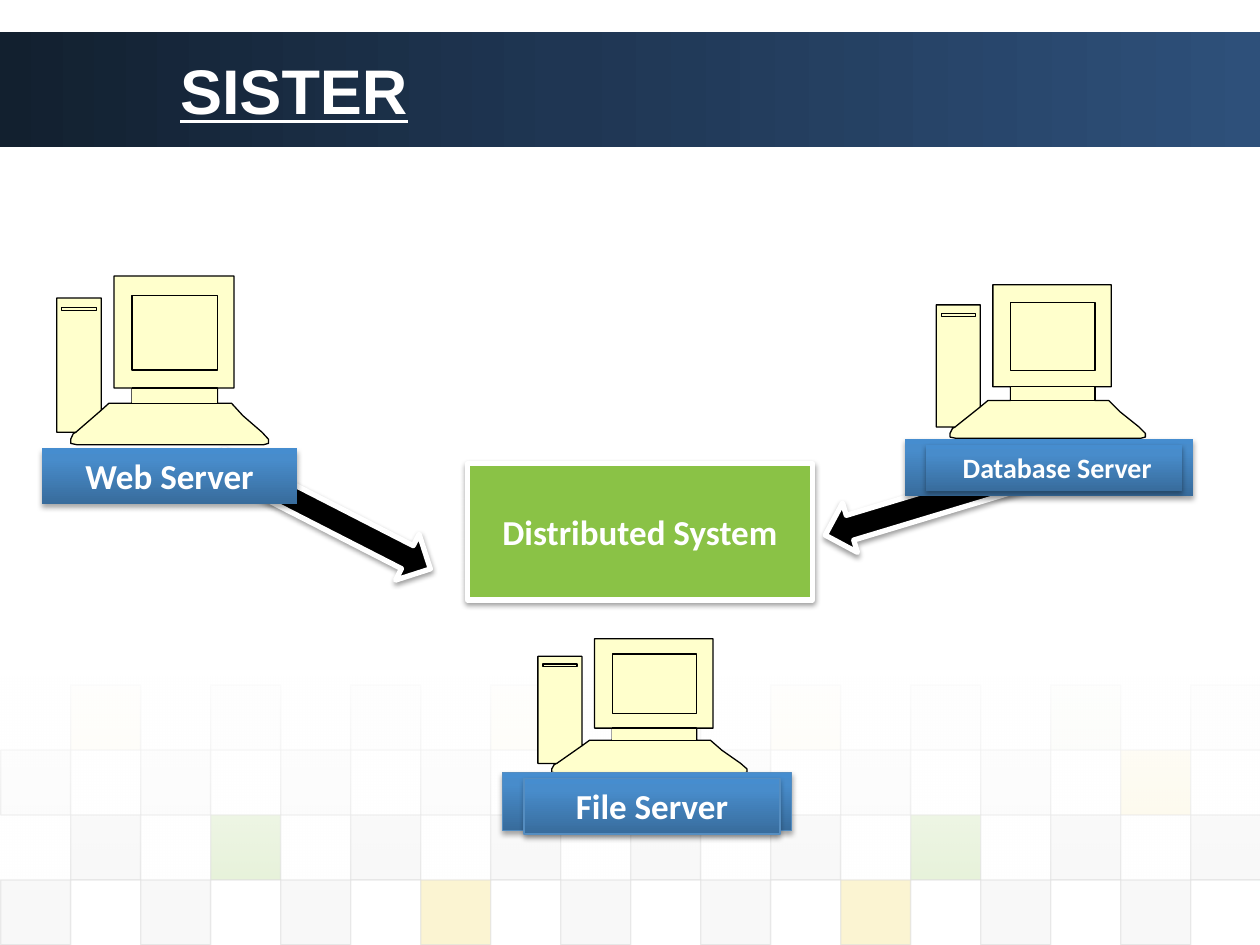
from copy import deepcopy
from dataclasses import dataclass

from lxml import etree
from pptx import Presentation
from pptx.dml.color import RGBColor
from pptx.enum.shapes import MSO_SHAPE
from pptx.enum.text import MSO_ANCHOR, MSO_AUTO_SIZE, PP_ALIGN
from pptx.oxml.ns import qn
from pptx.util import Pt

RECT, ARROW = MSO_SHAPE.RECTANGLE, MSO_SHAPE.RIGHT_ARROW
MIDDLE, FIT = MSO_ANCHOR.MIDDLE, MSO_AUTO_SIZE.SHAPE_TO_FIT_TEXT
LEFT, CENTER = PP_ALIGN.LEFT, PP_ALIGN.CENTER


@dataclass(frozen=True)
class Theme:
    white: str = "FFFFFF"
    black: str = "000000"
    green: str = "8AC246"
    yellow: str = "EFC821"
    grey: str = "DDDDDD"
    pale: str = "EAEAEA"
    computer: str = "FFFFCC"
    label_line: str = "558DC0"
    title_font: str = "Arial"
    body_font: str = "Calibri"
    title_size: int = 36
    body_size: int = 20
    small_size: int = 16


THEME = Theme()

# Gradient stops: position %, colour, opacity %
BANNER = [(0, "12202F", 100), (45, "1F3653", 100), (100, "2E507A", 100)]
LABEL = [(0, "386C9C", 100), (80, "488CCB", 100), (100, "468DCF", 100)]
FADE = [(0, THEME.white, 90), (100, THEME.white, 0)]

# Checkerboard rows: first column, opacity %, colour key of every second tile
TILE_COLORS = {"g": THEME.green, "y": THEME.yellow, "d": THEME.grey, "p": THEME.pale}
TILE_ROWS = [(1, 5, "yppydypgp"), (0, 10, "ddddgdddy"),
             (1, 20, "dgddddgdd"), (0, 20, "dddyddydd")]
TILE_LEFT, TILE_TOP, TILE_WIDTH, TILE_HEIGHT = 0.4, 391.5, 40, 37.1

# Boxes: left, top, width, height
ARROWS = [((117.4, 279.4, 136, 29.5), 27.1), ((468.7, 271.4, 136, 29.5), 163.2)]
COMPUTERS = [(535, 162.7, 119.5, 87.8), (32.4, 157.7, 121, 96.5),
             (307.4, 365, 119.5, 77)]
# Labels: backing box, text box, text, size, outline
LABELS = [
    (None, (23.8, 256.3, 146.2, 31.7), "Web Server", THEME.body_size, None),
    ((287.3, 441.4, 164.9, 33.1), (299.5, 445, 146.2, 31.7),
     "File Server", THEME.body_size, THEME.label_line),
    ((517, 250.6, 164.9, 33.1), (529.2, 254.2, 146.2, 26.6),
     " Database Server", THEME.small_size, None),
]

# Computer drawing on its own grid; each part is filled separately
GRID_WIDTH, GRID_HEIGHT = 166, 122
COMPUTER_PARTS = [
    ([(35, 97), (41, 92), (59, 92), (59, 81), (45, 81), (45, 0), (139, 0),
      (139, 81), (126, 81), (126, 92), (137, 92), (146, 101), (161, 113),
      (164, 116), (166, 118), (166, 121), (162, 122), (16, 122), (11, 121),
      (11, 118), (13, 114), (15, 113), (0, 113), (0, 16), (35, 16)], True),
    ([(35, 97), (15, 113)], False),
    ([(59, 14), (126, 14), (126, 68), (59, 68)], True),
    ([(4, 23), (31, 23), (31, 25), (4, 25)], True),
    ([(59, 81), (126, 81), (126, 92), (59, 92)], False),
]


def set_alpha(color_node, percent):
    if percent < 100:
        etree.SubElement(color_node, qn("a:alpha"), val=str(percent * 1000))


def paint(shape, fill, line=None, width=0.75, opacity=100, line_opacity=100):
    shape.shadow.inherit = False
    shape.fill.solid()
    shape.fill.fore_color.rgb = RGBColor.from_string(fill)
    properties = shape._element.spPr
    set_alpha(properties.find(qn("a:solidFill"))[0], opacity)
    if line is None:
        shape.line.fill.background()
        return
    shape.line.color.rgb = RGBColor.from_string(line)
    shape.line.width = Pt(width)
    set_alpha(properties.find(qn("a:ln")).find(qn("a:solidFill"))[0], line_opacity)


def paint_gradient(shape, stops, angle, line=None):
    """Fill with stops along a clockwise angle in degrees."""
    paint(shape, THEME.white, line)
    shape.fill.gradient()
    shape.fill.gradient_angle = (360 - angle) % 360
    stop_list = shape._element.spPr.find(qn("a:gradFill")).find(qn("a:gsLst"))
    for old_stop in list(stop_list):
        stop_list.remove(old_stop)
    for position, color, opacity in stops:
        stop = etree.SubElement(stop_list, qn("a:gs"), pos=str(position * 1000))
        set_alpha(etree.SubElement(stop, qn("a:srgbClr"), val=color), opacity)


def cast_shadow(shape, opacity, distance):
    effects = shape._element.spPr.find(qn("a:effectLst"))
    shadow = etree.SubElement(
        effects, qn("a:outerShdw"), blurRad=str(Pt(3.1)), dist=str(Pt(distance)),
        dir="5400000", rotWithShape="0")
    set_alpha(etree.SubElement(shadow, qn("a:srgbClr"), val=THEME.black), opacity)


def add_box(shapes, box, kind=RECT):
    return shapes.add_shape(kind, *map(Pt, box))


def write(shape, text, size, font=THEME.body_font, align=CENTER):
    shape.text_frame.text = text
    para = shape.text_frame.paragraphs[0]
    para.alignment = align
    span = para.runs[0].font
    span.name, span.size, span.bold = font, Pt(size), True
    span.color.rgb = RGBColor.from_string(THEME.white)
    return span


def add_background(shapes):
    paint_gradient(add_box(shapes, (0, 18, 720, 66.2)), BANNER, 0)
    for row, (first, opacity, keys) in enumerate(TILE_ROWS):
        for index, key in enumerate(keys):
            left = TILE_LEFT + (first + 2 * index) * TILE_WIDTH
            top = TILE_TOP + row * TILE_HEIGHT
            tile = add_box(shapes, (left, top, TILE_WIDTH, TILE_HEIGHT))
            paint(tile, TILE_COLORS[key], THEME.grey, 0.75, opacity, 60)
    paint_gradient(add_box(shapes, (0, 386.6, 720, 116.6)), FADE, 90)


def add_title(shapes):
    title = shapes.add_textbox(*map(Pt, (95.8, 18, 581.8, 66.2)))
    title.text_frame.word_wrap = True
    title.text_frame.vertical_anchor = MIDDLE
    write(title, "SISTER", THEME.title_size, THEME.title_font, LEFT).underline = True


def add_hub(shapes):
    hub = add_box(shapes, (267.1, 265, 197.3, 77.8))
    paint(hub, THEME.green, THEME.white, 3)
    cast_shadow(hub, 38, 1.6)
    write(hub, "Distributed System", THEME.body_size)
    hub.text_frame.word_wrap = False
    hub.text_frame.vertical_anchor = MIDDLE


def add_computer(shapes, left, top, width, height):
    scale = Pt(width) / GRID_WIDTH, Pt(height) / GRID_HEIGHT
    builder = shapes.build_freeform(*COMPUTER_PARTS[0][0][0], scale=scale)
    for index, (points, closed) in enumerate(COMPUTER_PARTS):
        if index:
            builder.move_to(*points[0])
        builder.add_line_segments(points[1:], close=closed)
    computer = builder.convert_to_shape(Pt(left), Pt(top))
    paint(computer, THEME.computer, THEME.black)

    # One path per part keeps overlapping parts from cutting holes
    path_list = computer._element.spPr.find(qn("a:custGeom")).find(qn("a:pathLst"))
    joined = path_list[0]
    steps = list(joined)
    for step in steps:
        joined.remove(step)
    path_list.remove(joined)
    for step in steps:
        if step.tag == qn("a:moveTo"):
            part = deepcopy(joined)
            path_list.append(part)
        part.append(step)


def add_label(shapes, backing, front, text, size, line):
    if backing:
        shapes = shapes.add_group_shape().shapes
    for box in filter(None, (backing, front)):
        label = add_box(shapes, box)
        paint_gradient(label, LABEL, 270, line)
        cast_shadow(label, 35, 1.8)
    write(label, text, size)
    label.text_frame.vertical_anchor = MSO_ANCHOR.TOP
    label.text_frame.auto_size = FIT


def main():
    deck = Presentation()
    deck.slide_width, deck.slide_height = Pt(720), Pt(540)
    shapes = deck.slides.add_slide(deck.slide_layouts[6]).shapes
    add_background(shapes)
    add_title(shapes)
    add_hub(shapes)
    for box, rotation in ARROWS:
        arrow = add_box(shapes, box, ARROW)
        arrow.rotation = rotation
        paint(arrow, THEME.black, THEME.white, 3)
        cast_shadow(arrow, 38, 1.6)
    for box in COMPUTERS:
        add_computer(shapes, *box)
    for label in LABELS:
        add_label(shapes, *label)
    deck.save("out.pptx")


if __name__ == "__main__":
    main()
